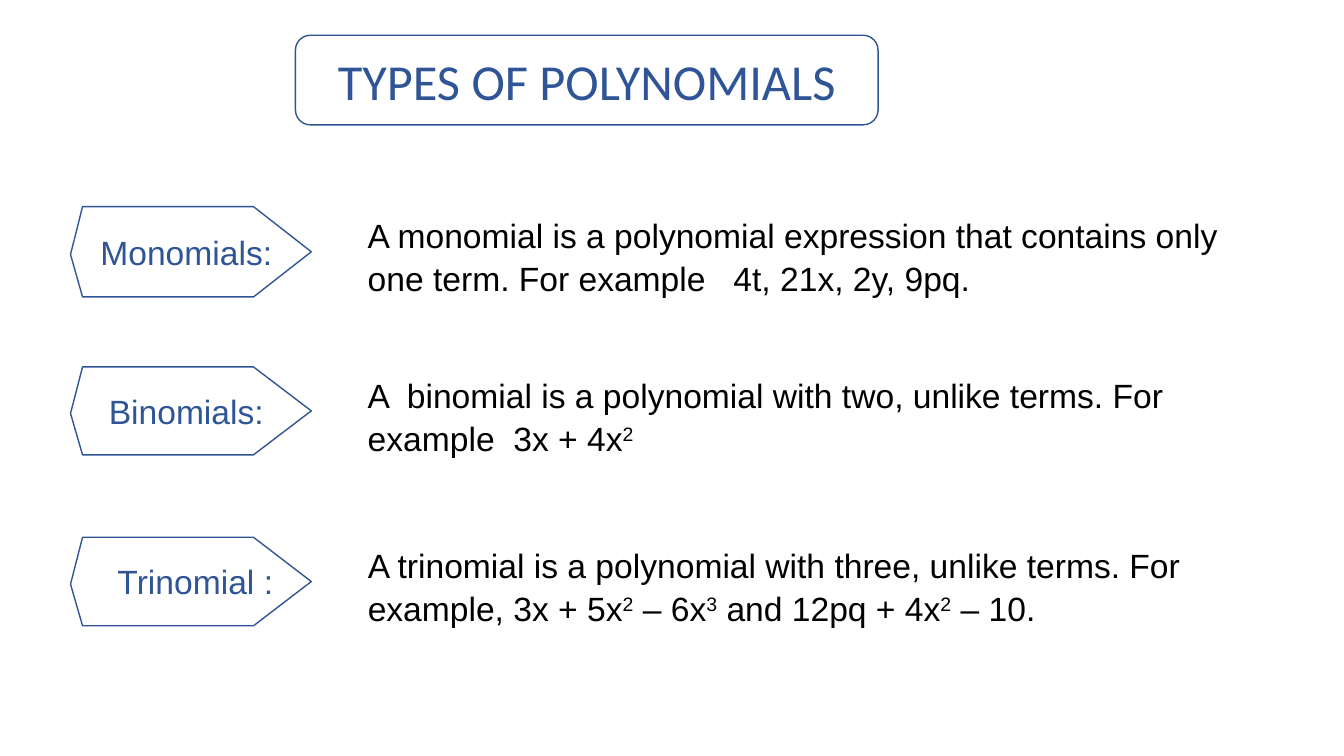
from dataclasses import dataclass

from pptx import Presentation
from pptx.dml.color import RGBColor
from pptx.enum.shapes import MSO_SHAPE
from pptx.enum.text import MSO_ANCHOR, PP_ALIGN
from pptx.util import Pt


@dataclass(frozen=True)
class Theme:
    """Colours, fonts and type sizes of the slide."""
    accent: RGBColor = RGBColor(0x2F, 0x55, 0x97)
    paper: RGBColor = RGBColor(0xFF, 0xFF, 0xFF)
    ink: RGBColor = RGBColor(0x00, 0x00, 0x00)
    title_font: str = "Calibri"
    body_font: str = "Arial"
    title_size: int = 36
    body_size: int = 24
    outline: float = 1
    leading: float = 1.07


THEME = Theme()
TITLE_FORMAT = {"name": THEME.title_font, "size": Pt(THEME.title_size)}
BODY_FORMAT = {"name": THEME.body_font, "size": Pt(THEME.body_size)}
TITLE_BOX = (211, 25.2, 416.2, 64)
ROW_LEFT = 50.4
ROWS = [
    (147.6, 64.5, 653, "Monomials: ",
     "A monomial is a polynomial expression that contains only one term. "
     "For example   4t, 21x, 2y, 9pq."),
    (262.1, 62.8, 653, "Binomials: ",
     "A  binomial is a polynomial with two, unlike terms. "
     "For example  3x + 4x^2^"),
    (383.8, 63.2, 633, " Trinomial :",
     "A trinomial is a polynomial with three, unlike terms. "
     "For example, 3x + 5x^2^ – 6x^3^ and 12pq + 4x^2^ – 10."),
]


def write_text(paragraph, text, color, font_format):
    """Write text in one paragraph, raising the parts between carets."""
    for index, part in enumerate(text.split("^")):
        if not part:
            continue
        run = paragraph.add_run()
        run.text = part
        run.font.color.rgb = color
        for name, value in font_format.items():
            setattr(run.font, name, value)
        if index % 2:
            run._r.get_or_add_rPr().set("baseline", "30000")


def style_outlined(shape, text, font_format):
    """Give a shape a white fill, an accent outline and centred text."""
    shape.shadow.inherit = False
    shape.fill.solid()
    shape.fill.fore_color.rgb = THEME.paper
    shape.line.color.rgb = THEME.accent
    shape.line.width = Pt(THEME.outline)
    frame = shape.text_frame
    for name, value in {"word_wrap": True, "vertical_anchor": MSO_ANCHOR.MIDDLE}.items():
        setattr(frame, name, value)
    paragraph = frame.paragraphs[0]
    paragraph.alignment = PP_ALIGN.CENTER
    write_text(paragraph, text, THEME.accent, font_format)


def add_title(slide, box):
    """Place the rounded title panel in its box."""
    shape = slide.shapes.add_shape(
        MSO_SHAPE.FLOWCHART_ALTERNATE_PROCESS, *map(Pt, box))
    style_outlined(shape, "TYPES OF POLYNOMIALS", TITLE_FORMAT)


def add_label(slide, box, text):
    """Place a pointed label whose left edge bulges outwards."""
    left, top, width, height = box
    shoulder = left + 0.76 * width
    corner = left + 0.05 * width
    bottom = top + height
    outline = [
        (corner, top), (shoulder, top), (left + width, top + 0.5 * height),
        (shoulder, bottom), (corner, bottom),
    ]
    builder = slide.shapes.build_freeform(Pt(left), Pt(top + 0.53 * height))
    builder.add_line_segments([(Pt(x), Pt(y)) for x, y in outline], close=True)
    style_outlined(builder.convert_to_shape(), text, BODY_FORMAT)


def add_definition(slide, box, text):
    """Place a wrapped definition in its box."""
    frame = slide.shapes.add_textbox(*map(Pt, box)).text_frame
    frame.word_wrap = True
    paragraph = frame.paragraphs[0]
    paragraph.line_spacing = THEME.leading
    write_text(paragraph, text, THEME.ink, BODY_FORMAT)


def add_row(slide, box, label, definition):
    """Place a label at the left of the box and its definition at the right."""
    left, top, width, height = box
    label_width, definition_offset = 172, 205.2
    add_label(slide, (left, top, label_width, height), label)
    add_definition(
        slide,
        (left + definition_offset, top, width - definition_offset, height + 9),
        definition)


def main():
    """Build the slide and save it."""
    presentation = Presentation()
    for name, value in {"slide_width": Pt(960), "slide_height": Pt(540)}.items():
        setattr(presentation, name, value)
    slide = presentation.slides.add_slide(presentation.slide_layouts[6])
    add_title(slide, TITLE_BOX)
    for top, height, text_width, label, definition in ROWS:
        add_row(slide, (ROW_LEFT, top, text_width + 205.2, height), label, definition)
    presentation.save("out.pptx")


if __name__ == "__main__":
    main()
